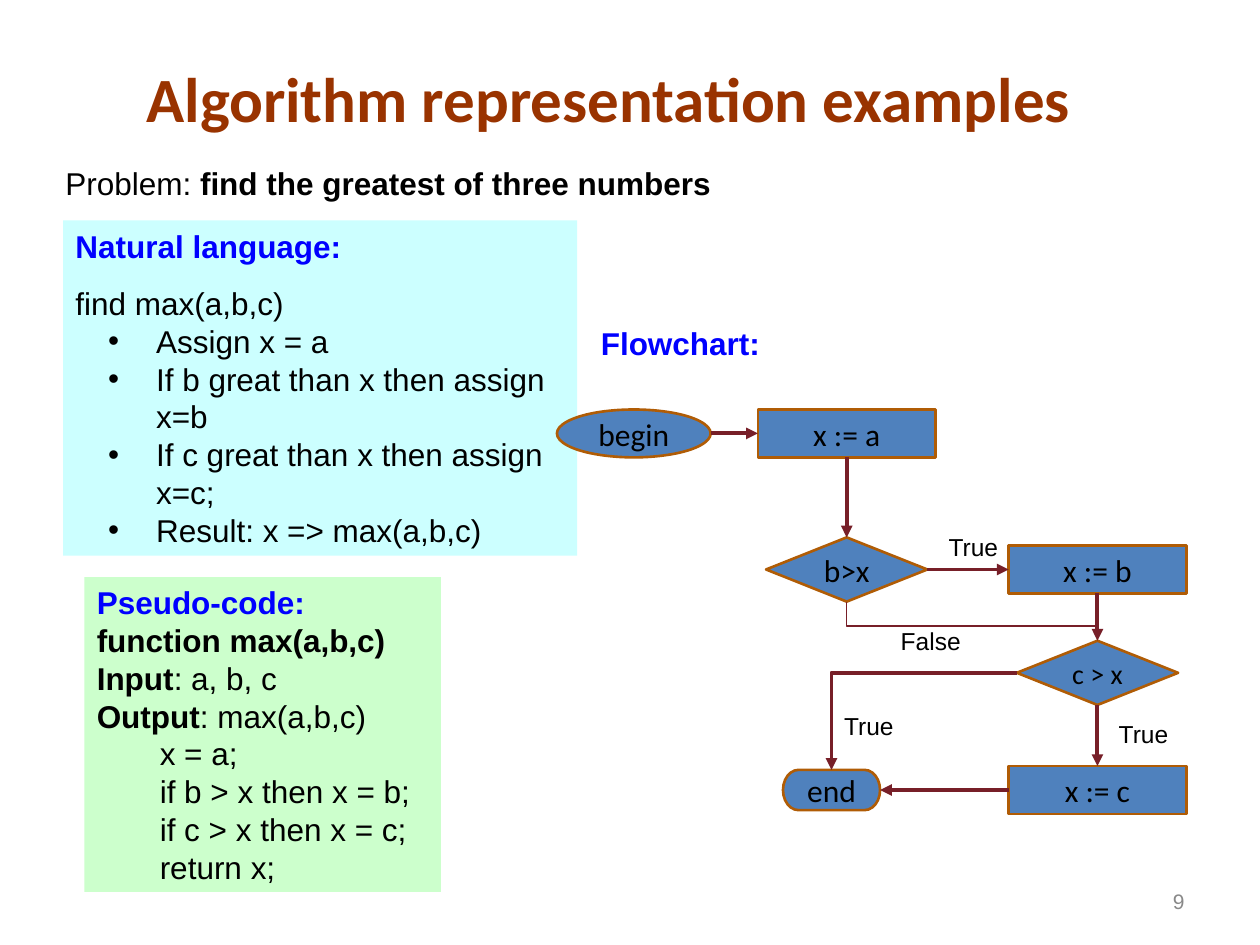
from lxml import etree
from pptx import Presentation
from pptx.dml.color import RGBColor
from pptx.enum.shapes import MSO_CONNECTOR, MSO_SHAPE
from pptx.enum.text import MSO_ANCHOR, PP_ALIGN
from pptx.oxml.ns import qn
from pptx.util import Inches, Pt

TOP, LEFT, BOTTOM, RIGHT = range(4)
MIDDLE = MSO_ANCHOR.MIDDLE
CENTER = PP_ALIGN.CENTER
PROCESS = MSO_SHAPE.FLOWCHART_PROCESS
DECISION = MSO_SHAPE.FLOWCHART_DECISION
TERMINATOR = MSO_SHAPE.FLOWCHART_TERMINATOR
ELLIPSE = MSO_SHAPE.OVAL
STRAIGHT = MSO_CONNECTOR.STRAIGHT
ELBOW = MSO_CONNECTOR.ELBOW

COLORS = {
    "title": "993300", "heading": "0000FF", "text": "000000", "number": "898989",
    "natural": "CCFFFF", "pseudo": "CCFFCC",
    "node": "4F81BD", "outline": "B05C05", "arrow": "771F28",
}
HEADING = {"bold": True, "color": "heading"}
BOLD = {"bold": True}
SPACED = {"space_before": Pt(11.2)}
BULLET = {"margin": 0.64, "indent": -0.38, "bullet": "•", "level": 1}
CODE = {"margin": 1, "indent": -0.5, "level": 1}

TITLE = "Algorithm representation examples"
PROBLEM = [(SPACED, [("Problem: ", {}), ("find the greatest of three numbers", BOLD)])]
FLOWCHART = [(SPACED, [("Flowchart:", HEADING)])]
NATURAL = [
    (SPACED, [("Natural language:", HEADING)]),
    (SPACED, [("find max(a,b,c)", {})]),
] + [(BULLET, [(step, {})]) for step in (
    "Assign x = a",
    "If b great than x then assign x=b",
    "If c great than x then assign x=c;",
    "Result: x => max(a,b,c)",
)]
PSEUDO = [
    (SPACED, [("Pseudo-code:", HEADING)]),
    ({}, [("function max(a,b,c)", BOLD)]),
    ({}, [("Input", BOLD), (": a, b, c", {})]),
    ({}, [("Output", BOLD), (": max(a,b,c)", {})]),
] + [(CODE, [(line, {})]) for line in (
    "x = a;", "if b > x then x = b;", "if c > x then x = c;", "return x;",
)]
PANELS = [
    (NATURAL, (0.5, 1.75, 4.08, 2.66), "natural"),
    (PSEUDO, (0.67, 4.58, 2.83, 2.5), "pseudo"),
    (FLOWCHART, (4.67, 2.52, 1.92, 0.4), None),
    (PROBLEM, (0.42, 1.25, 6, 0.4), None),
]

COLUMNS = {"begin": 5.03, "end": 6.6, "left": 6.72, "right": 8.71}
ROWS = {"start": 3.44, "b": 4.52, "c": 5.34, "finish": 6.27}
SIZES = {PROCESS: (1.41, 0.38), DECISION: (1.28, 0.51),
         TERMINATOR: (0.77, 0.32), ELLIPSE: (1.22, 0.38)}
NODES = [
    ("x := a", PROCESS, "left", "start", 18),
    ("b>x", DECISION, "left", "b", 18),
    ("x := b", PROCESS, "right", "b", 18),
    ("c > x", DECISION, "right", "c", 16),
    ("x := c", PROCESS, "right", "finish", 18),
    ("end", TERMINATOR, "end", "finish", 18),
    ("begin", ELLIPSE, "begin", "start", 18),
]
LINKS = [
    ("begin", RIGHT, "x := a", LEFT),
    ("x := a", BOTTOM, "b>x", TOP),
    ("b>x", RIGHT, "x := b", LEFT),
    ("x := b", BOTTOM, "c > x", TOP),
    ("c > x", BOTTOM, "x := c", TOP),
    ("x := c", LEFT, "end", RIGHT),
]
BRANCH_WIDTHS = {"True": 0.62, "False": 0.75}
BRANCHES = [("True", 7.43, 4.17), ("False", 7.05, 4.92),
            ("True", 8.78, 5.66), ("True", 6.6, 5.59)]


def write(shape, paragraphs, size=18, font="Arial", color="text",
          align=PP_ALIGN.LEFT, anchor=MSO_ANCHOR.TOP):
    frame = shape.text_frame
    frame.word_wrap = True
    frame.vertical_anchor = anchor
    for index, (layout, runs) in enumerate(paragraphs):
        paragraph = frame.add_paragraph() if index else frame.paragraphs[0]
        values = {"alignment": align, "level": layout.get("level", 0),
                  "space_before": layout.get("space_before", Pt(0))}
        for name, value in values.items():
            setattr(paragraph, name, value)
        properties = paragraph._p.get_or_add_pPr()
        properties.set("marL", str(Inches(layout.get("margin", 0))))
        properties.set("indent", str(Inches(layout.get("indent", 0))))
        if "bullet" in layout:
            etree.SubElement(properties, qn("a:buFont"), typeface="Arial")
            etree.SubElement(properties, qn("a:buChar"), char=layout["bullet"])
        for text, style in runs:
            run = paragraph.add_run()
            run.text = text
            values = {"name": font, "size": Pt(size), "bold": style.get("bold", False)}
            for name, value in values.items():
                setattr(run.font, name, value)
            run.font.color.rgb = RGBColor.from_string(COLORS[style.get("color", color)])


def plain(text, style=None):
    return [({}, [(text, style or {})])]


def add_box(kind, place, fill, outline=None):
    shape = slide.shapes.add_shape(kind, *map(Inches, place))
    shape.shadow.inherit = False
    shape.fill.solid()
    shape.fill.fore_color.rgb = RGBColor.from_string(COLORS[fill])
    if outline:
        shape.line.color.rgb = RGBColor.from_string(COLORS[outline])
        shape.line.width = Pt(1.5)
    else:
        shape.line.fill.background()
    return shape


def add_text(place, paragraphs, **options):
    box = slide.shapes.add_textbox(*map(Inches, place))
    write(box, paragraphs, **options)


def side(shape, site):
    across = {LEFT: 0, RIGHT: 1}.get(site, 0.5)
    down = {TOP: 0, BOTTOM: 1}.get(site, 0.5)
    return int(shape.left + shape.width * across), int(shape.top + shape.height * down)


def add_link(kind, start, finish, width=2.24, arrow=True):
    link = slide.shapes.add_connector(kind, *start, *finish)
    link.line.color.rgb = RGBColor.from_string(COLORS["arrow"])
    link.line.width = Pt(width)
    properties = link._element.spPr
    if kind == ELBOW:
        properties.find(qn("a:prstGeom")).set("prst", "bentConnector2")
    if arrow:
        etree.SubElement(properties.find(qn("a:ln")), qn("a:tailEnd"), type="triangle")
    etree.SubElement(properties, qn("a:effectLst"))
    return link


presentation = Presentation()
presentation.slide_width, presentation.slide_height = Inches(10), Inches(7.5)
slide = presentation.slides.add_slide(presentation.slide_layouts[5])

title = slide.shapes.title
for name, value in zip(("left", "top", "width", "height"), (0.33, 0.42, 9, 0.7)):
    setattr(title, name, Inches(value))
write(title, plain(TITLE, BOLD), size=36, font="Calibri", color="title",
      align=CENTER, anchor=MIDDLE)

for paragraphs, place, fill in PANELS:
    if fill:
        write(add_box(MSO_SHAPE.RECTANGLE, place, fill), paragraphs)
    else:
        add_text(place, paragraphs)

nodes = {}
for label, kind, column, row, size in NODES:
    width, height = SIZES[kind]
    place = (COLUMNS[column] - width / 2, ROWS[row] - height / 2, width, height)
    nodes[label] = add_box(kind, place, "node", "outline")
    write(nodes[label], plain(label), size=size, font="Calibri",
          align=CENTER, anchor=MIDDLE)

for source, source_site, target, target_site in LINKS:
    link = add_link(STRAIGHT, side(nodes[source], source_site),
                    side(nodes[target], target_site))
    if source != "begin":
        link.begin_connect(nodes[source], source_site)
    link.end_connect(nodes[target], target_site)

add_link(ELBOW, side(nodes["c > x"], LEFT), side(nodes["end"], TOP))
merge = Inches(COLUMNS["right"]), Inches(4.97)
add_link(ELBOW, merge, side(nodes["b>x"], BOTTOM), width=0.79, arrow=False)

for label, left, top in BRANCHES:
    add_text((left, top, BRANCH_WIDTHS[label], 0.34), plain(label), size=14)
add_text((7.17, 6.95, 2.33, 0.4), plain("9"), size=12, color="number",
         align=PP_ALIGN.RIGHT, anchor=MIDDLE)

presentation.save("out.pptx")
